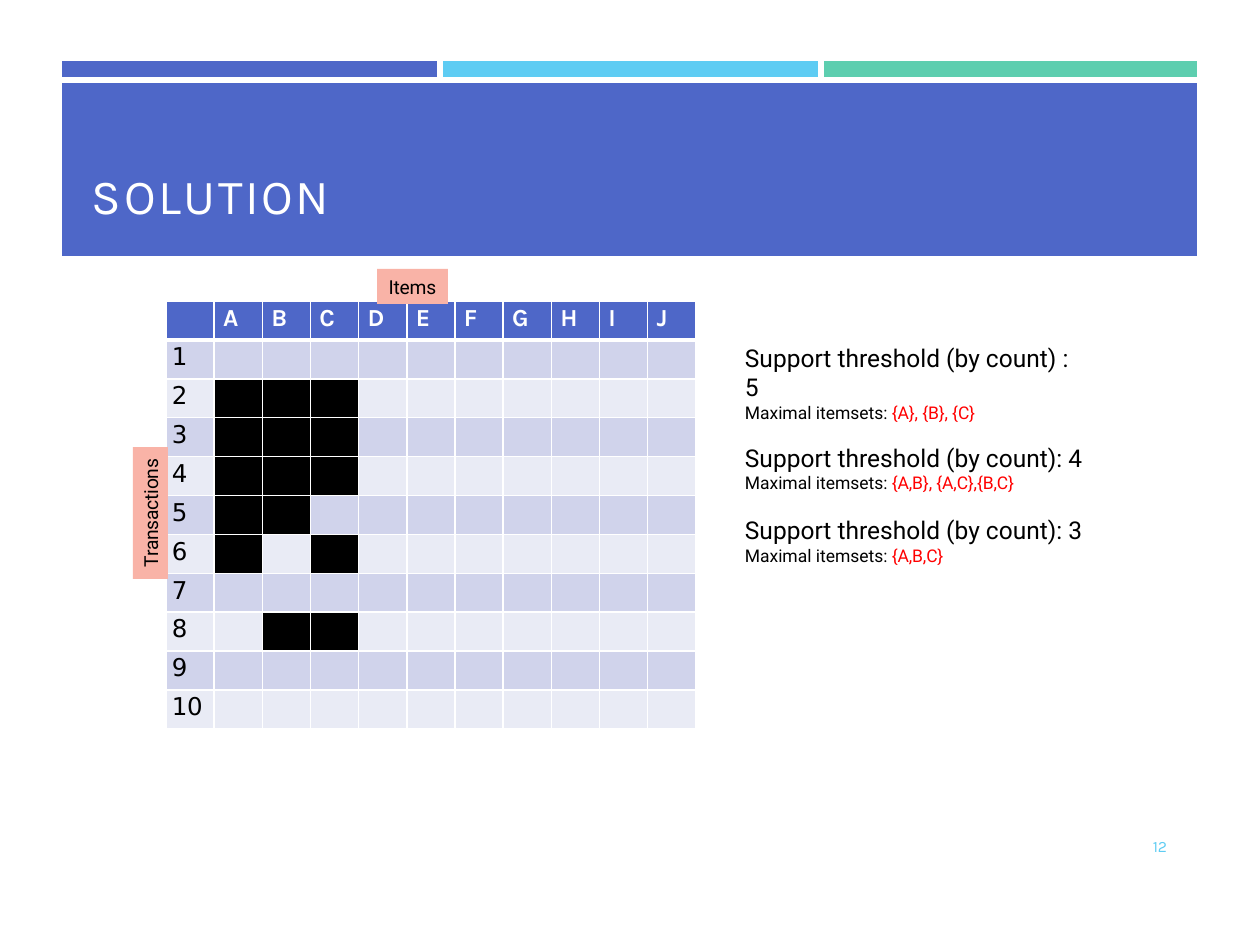
from dataclasses import dataclass
from pptx import Presentation
from pptx import util as u
from pptx.dml.color import RGBColor
from pptx.enum import shapes, text
from pptx.oxml import parse_xml
from pptx.oxml.ns import nsdecls

TITLE = "SOLUTION"
PAGE = "12"
ITEMS = "ABCDEFGHIJ"
BASKETS = {2: "ABC", 3: "ABC", 4: "ABC", 5: "AB", 6: "AC", 8: "BC"}
ROWS = 10
FINDINGS = [
    ("Support threshold (by count) : 5", "{A}, {B}, {C}", 1),
    ("Support threshold (by count): 4", "{A,B}, {A,C},{B,C}", 11.1),
    ("Support threshold (by count): 3", "{A,B,C}", 12.3),
]
LABELS = [
    ("Transactions", (133, 447, 35, 132), "vert270"),
    ("Items", (377, 269, 71, 35), "horz"),
]


@dataclass(frozen=True)
class Theme:
    blue: str = "4E67C8"
    sky: str = "5ECCF3"
    green: str = "5DCEAF"
    odd: str = "D0D3EB"
    even: str = "E9EBF5"
    salmon: str = "F9B3A7"
    red: str = "FF0000"
    black: str = "000000"
    white: str = "FFFFFF"
    head: str = "Karla"
    body: str = "Roboto"
    digits: str = "DejaVu Sans"
    title_size: int = 28
    large: int = 14
    label: int = 11
    small: int = 10
    page: int = 9


T = Theme()


def px(n):
    return u.Emu(n * 914400 // 126)


def box(*lengths):
    return [px(n) for n in lengths]


def add_run(p, words, size, font, color, bold=False, spc=0):
    r = p.add_run()
    r.text = words
    for name, value in {"size": u.Pt(size), "name": font, "bold": bold}.items():
        setattr(r.font, name, value)
    r.font.color.rgb = RGBColor.from_string(color)
    r._r.get_or_add_rPr().set("spc", str(round(spc * 100)))


def set_frame(tf, left=0, top=0, wrap=True, anchor=text.MSO_ANCHOR.TOP):
    values = {"margin_left": px(left), "margin_top": px(top), "margin_right": 0,
              "margin_bottom": 0, "word_wrap": wrap, "vertical_anchor": anchor}
    for name, value in values.items():
        setattr(tf, name, value)


def set_cell(cell, color, borders, left=0, top=0):
    for name, value in {"margin_left": px(left), "margin_top": px(top),
                        "margin_right": 0, "margin_bottom": 0}.items():
        setattr(cell, name, value)
    tcPr = cell._tc.get_or_add_tcPr()
    for side in "LRTB":
        if side in borders:
            tcPr.append(parse_xml(
                f'<a:ln{side} {nsdecls("a")} w="{u.Pt(borders[side])}"><a:solidFill>'
                f'<a:srgbClr val="{T.white}"/></a:solidFill></a:ln{side}>'))
    cell.fill.solid()
    cell.fill.fore_color.rgb = RGBColor.from_string(color)
    cell.text_frame.paragraphs[0]._p.append(
        parse_xml(f'<a:endParaRPr {nsdecls("a")} sz="800"/>'))


def add_banner(s):
    widths, heights = (379, 381, 377), (20, 177)
    table = s.shapes.add_table(2, 3, *box(61, 60, sum(widths), sum(heights))).table
    for col, width in zip(table.columns, widths):
        col.width = px(width)
    for row, height in zip(table.rows, heights):
        row.height = px(height)
    gap = 4.5
    for i, (color, sides) in enumerate(zip((T.blue, T.sky, T.green), ("RB", "LRB", "LB"))):
        set_cell(table.cell(0, i), color, dict.fromkeys(sides, gap))
        set_cell(table.cell(1, i), T.blue, {"T": gap}, left=31, top=90)
    title = table.cell(1, 0)
    title.merge(table.cell(1, 2))
    add_run(title.text_frame.paragraphs[0], TITLE, T.title_size, T.head, T.white, spc=1.5)


def add_grid(s):
    count, width, height = len(ITEMS) + 1, px(530), px(428)
    table = s.shapes.add_table(ROWS + 1, count, px(166), px(301), width, height).table
    for col in table.columns:
        col.width = u.Emu(width // count)
    for row in table.rows:
        row.height = u.Emu(height // (ROWS + 1))
    for n in range(ROWS + 1):
        band = T.blue if n == 0 else T.odd if n % 2 else T.even
        borders = {"L": 1, "R": 1, "T": 3 if n == 1 else 1, "B": 3 if n == 0 else 1}
        for i, item in enumerate(" " + ITEMS):
            cell = table.cell(n, i)
            color = T.black if item in BASKETS.get(n, "") else band
            set_cell(cell, color, borders, left=6 if n else 9, top=3)
            p = cell.text_frame.paragraphs[0]
            if n == 0 and i:
                p.space_before = u.Pt(1.6)
                add_run(p, item, T.large, T.head, T.white, bold=True)
            elif n and i == 0:
                p.space_before = u.Pt(1.7)
                add_run(p, str(n), T.large, T.digits, T.black, spc=-0.3)


def add_findings(s):
    tf = s.shapes.add_textbox(*box(744, 342, 341, 197)).text_frame
    set_frame(tf, left=1, top=1)
    for i, (threshold, itemsets, before) in enumerate(FINDINGS):
        p = tf.add_paragraph() if i else tf.paragraphs[0]
        p.space_before = u.Pt(before)
        add_run(p, threshold, T.large, T.body, T.black)
        p = tf.add_paragraph()
        p.space_before = u.Pt(0.2)
        add_run(p, "Maximal itemsets: ", T.small, T.body, T.black)
        add_run(p, itemsets, T.small, T.body, T.red, spc=-0.05)


def add_label(s, words, place, direction):
    sp = s.shapes.add_shape(shapes.MSO_SHAPE.RECTANGLE, *box(*place))
    sp.shadow.inherit = False
    sp.fill.solid()
    sp.fill.fore_color.rgb = RGBColor.from_string(T.salmon)
    sp.line.fill.background()
    tf = sp.text_frame
    set_frame(tf, wrap=False, anchor=text.MSO_ANCHOR.MIDDLE)
    tf._txBody.bodyPr.set("vert", direction)
    p = tf.paragraphs[0]
    p.alignment = text.PP_ALIGN.CENTER
    add_run(p, words, T.label, T.body, T.black, spc=-0.15)


def add_page_number(s):
    tf = s.shapes.add_textbox(*box(1148, 837, 28, 21)).text_frame
    set_frame(tf, left=5)
    add_run(tf.paragraphs[0], PAGE, T.page, T.head, T.sky, spc=-0.2)


def main():
    prs = Presentation()
    prs.slide_width, prs.slide_height = box(1260, 945)
    s = prs.slides.add_slide(prs.slide_layouts[6])
    add_banner(s)
    add_findings(s)
    add_grid(s)
    for label in LABELS:
        add_label(s, *label)
    add_page_number(s)
    prs.save("out.pptx")


if __name__ == "__main__":
    main()
